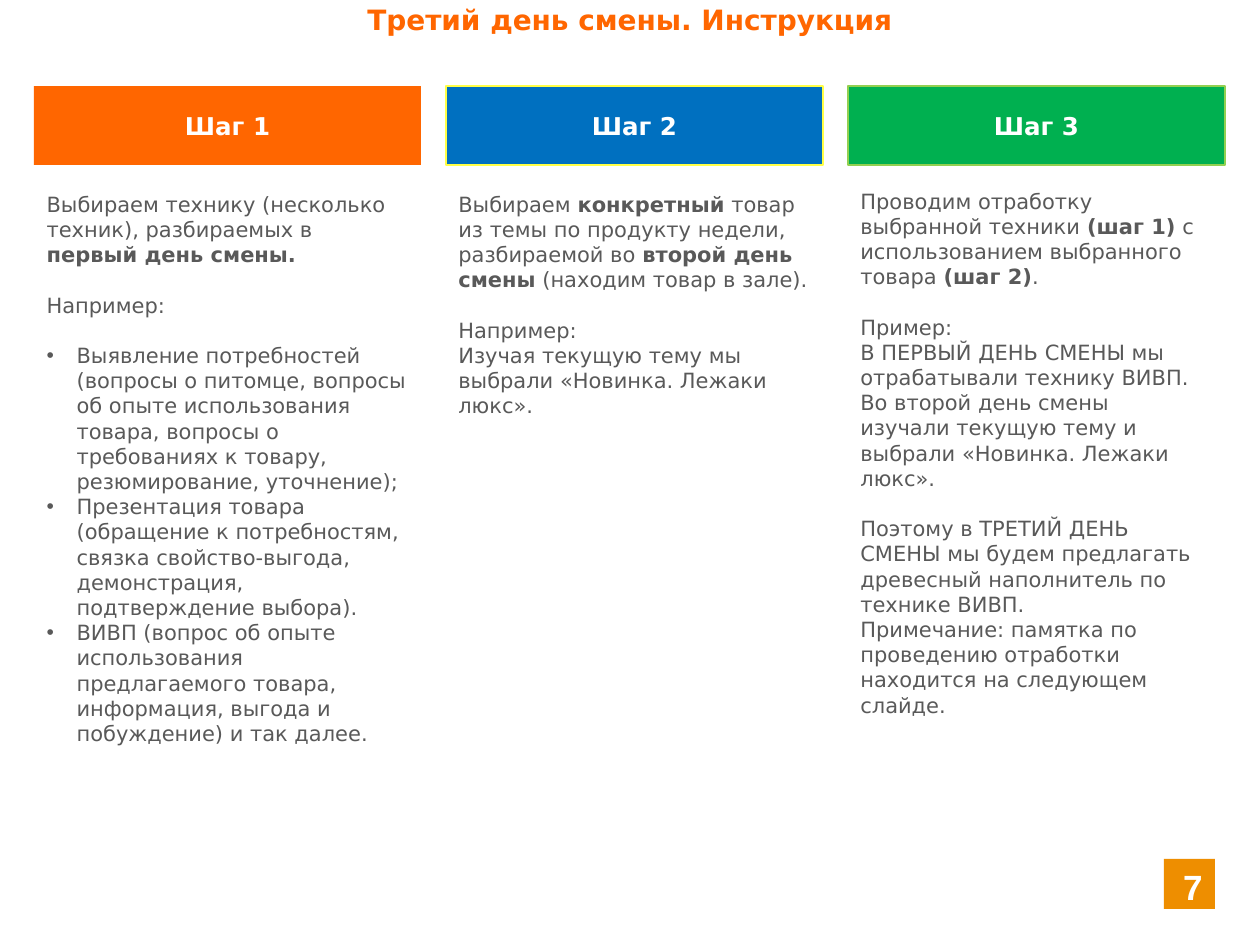
"""Build the three-step instruction slide for the third day of the shift."""
from lxml.etree import SubElement
from pptx import Presentation
from pptx.dml.color import RGBColor
from pptx.enum.shapes import MSO_SHAPE as Shape
from pptx.enum.text import MSO_ANCHOR as Anchor, MSO_AUTO_SIZE as AutoSize, PP_ALIGN as Align
from pptx.oxml.ns import qn
from pptx.util import Pt

PX = 914400 / 126
ORANGE = RGBColor(0xFF, 0x66, 0x00)
BLUE = RGBColor(0x00, 0x70, 0xC0)
GREEN = RGBColor(0x00, 0xB0, 0x50)
YELLOW = RGBColor(0xFF, 0xFF, 0x47)
LIME = RGBColor(0x92, 0xD0, 0x50)
AMBER = RGBColor(0xEE, 0x8E, 0x00)
GRAY = RGBColor(0x59, 0x59, 0x59)
WHITE = RGBColor(0xFF, 0xFF, 0xFF)
GAP = 14.4
INDENT = 30


def px(*lengths):
    return [round(length * PX) for length in lengths]


def write(shape, paragraphs, size=12, color=GRAY, bold=False, font="DejaVu Sans",
          align=Align.LEFT, anchor=Anchor.TOP):
    frame = shape.text_frame
    frame.word_wrap = True
    frame.auto_size = AutoSize.NONE
    frame.vertical_anchor = anchor
    for index, (text, gap, bullet) in enumerate(paragraphs):
        paragraph = frame.add_paragraph() if index else frame.paragraphs[0]
        paragraph.alignment = align
        paragraph.space_before = Pt(gap)
        properties = paragraph._p.get_or_add_pPr()
        indent = px(INDENT)[0] if bullet else 0
        properties.set("marL", str(indent))
        properties.set("indent", str(-indent))
        if bullet:
            SubElement(properties, qn("a:buFont"), typeface="Arial")
            SubElement(properties, qn("a:buChar"), char="•")
        else:
            SubElement(properties, qn("a:buNone"))
        for part, words in enumerate(text.split("**")):
            if words:
                run = paragraph.add_run()
                run.text = words
                run.font.name = font
                run.font.size = Pt(size)
                run.font.bold = bold or part % 2 == 1
                run.font.color.rgb = color


presentation = Presentation()
presentation.slide_width, presentation.slide_height = px(1260, 945)
slide = presentation.slides.add_slide(presentation.slide_layouts[1])
title, body = slide.placeholders

title.left, title.top, title.width, title.height = px(0, -4, 1260, 47)
write(title, [("Третий день смены. Инструкция", 0, False)],
      size=16, color=ORANGE, bold=True, align=Align.CENTER)

steps = [
    (34, 387, 185, 387, 625, ORANGE, None, [
        ("Выбираем технику (несколько техник), разбираемых в **первый день смены.**", 0, False),
        ("Например:", GAP, False),
        ("Выявление потребностей (вопросы о питомце, вопросы об опыте использования товара, "
         "вопросы о требованиях к товару, резюмирование, уточнение);", GAP, True),
        ("Презентация товара (обращение к потребностям, связка свойство-выгода, "
         "демонстрация, подтверждение выбора).", 0, True),
        ("ВИВП (вопрос об опыте использования предлагаемого товара, информация, "
         "выгода и побуждение) и так далее.", 0, True),
    ]),
    (446, 377, 185, 377, 377, BLUE, YELLOW, [
        ("Выбираем **конкретный** товар из темы по продукту недели, разбираемой во "
         "**второй день смены** (находим товар в зале).", 0, False),
        ("Например:", GAP, False),
        ("Изучая текущую тему мы выбрали «Новинка. Лежаки люкс».", 0, False),
    ]),
    (848, 377, 182, 367, 625, GREEN, LIME, [
        ("Проводим отработку выбранной техники **(шаг 1)** с использованием выбранного "
         "товара **(шаг 2)**.", 0, False),
        ("Пример:", GAP, False),
        ("В ПЕРВЫЙ ДЕНЬ СМЕНЫ мы отрабатывали технику ВИВП. Во второй день смены изучали "
         "текущую тему и выбрали «Новинка. Лежаки люкс».", 0, False),
        ("Поэтому в ТРЕТИЙ ДЕНЬ СМЕНЫ мы будем предлагать древесный наполнитель по "
         "технике ВИВП.", GAP, False),
        ("Примечание: памятка по проведению отработки находится на следующем слайде.", 0, False),
    ]),
]

for number, (left, width, top, text_width, height, fill, line, paragraphs) in enumerate(steps, 1):
    header = slide.shapes.add_shape(Shape.RECTANGLE, *px(left, 86, width, 79))
    header.shadow.inherit = False
    header.fill.solid()
    header.fill.fore_color.rgb = fill
    if line:
        header.line.color.rgb = line
        header.line.width = Pt(0.75)
    else:
        header.line.fill.background()
    write(header, [(f"Шаг {number}", 0, False)], size=14, color=WHITE, bold=True,
          align=Align.CENTER, anchor=Anchor.MIDDLE)

    box = body if number == 1 else slide.shapes.add_textbox(0, 0, 0, 0)
    box.left, box.top, box.width, box.height = px(left, top, text_width, height)
    write(box, paragraphs)

page_number = slide.shapes.add_shape(Shape.RECTANGLE, *px(1164, 859, 51, 50))
page_number.shadow.inherit = False
page_number.fill.solid()
page_number.fill.fore_color.rgb = AMBER
page_number.line.fill.background()
write(page_number, [("7", 0, False)], size=20, color=WHITE, bold=True, font="Arial",
      align=Align.RIGHT)

presentation.save("out.pptx")
